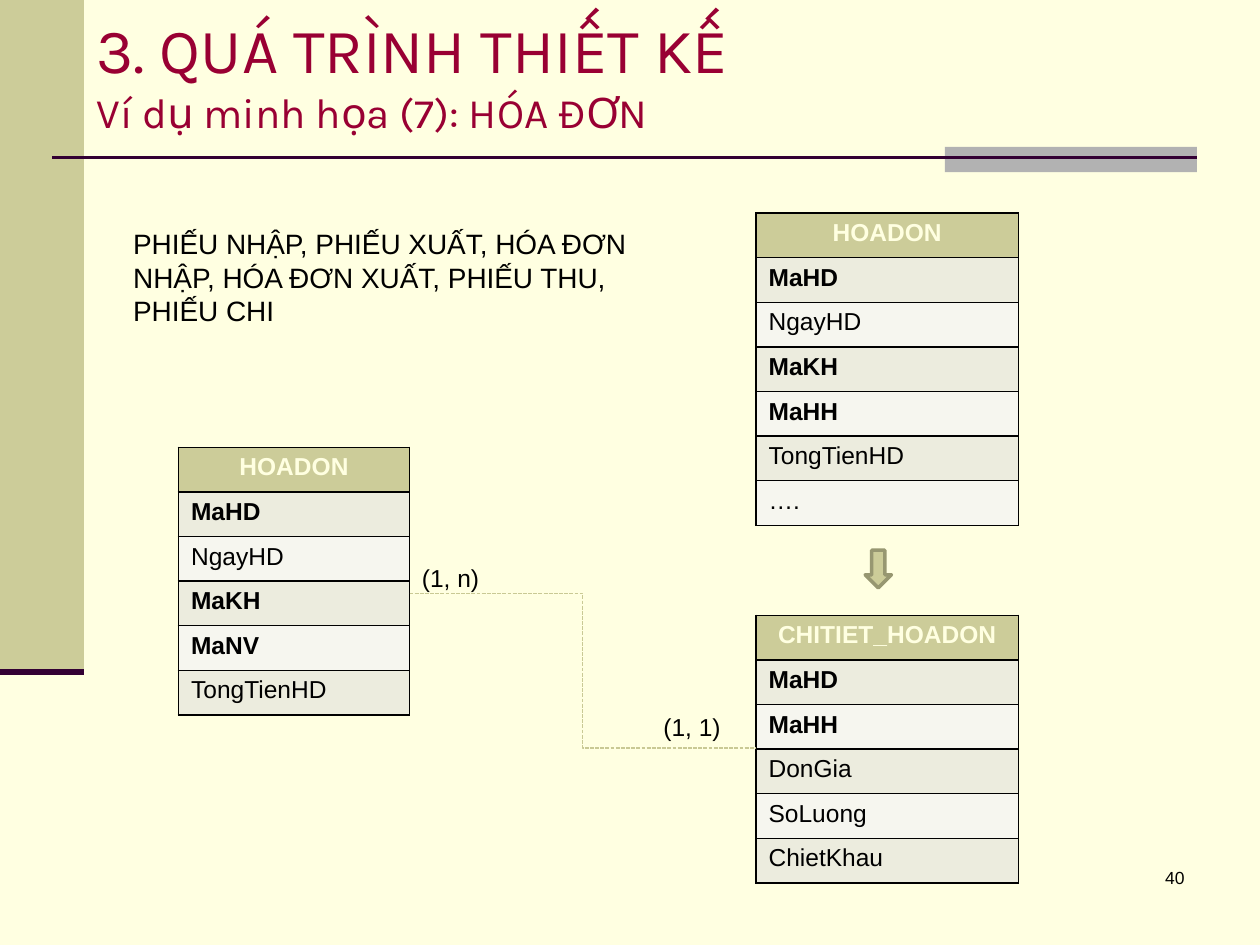
from lxml.etree import SubElement
from pptx import Presentation
from pptx.dml.color import RGBColor
from pptx.enum.dml import MSO_LINE
from pptx.enum.shapes import MSO_CONNECTOR as CONN, MSO_SHAPE as SHAPE
from pptx.enum.text import MSO_ANCHOR, MSO_AUTO_SIZE, PP_ALIGN
from pptx.oxml.ns import qn
from pptx.util import Inches, Pt

COLS, ROWS = 120, 90  # slide grid, twelve units to the inch
ROW_H = 4.25  # table row
OLIVE, CREAM, PLUM, BLACK = "CCCC99", "FFFFE1", "330033", "000000"
BANDS = "ECECDE", "F6F6EF"


def units(*values):
    return [Inches(v / 12) for v in values]


def rgb(value):
    return RGBColor.from_string(value)


def style(p, size, color=BLACK, bold=False, name="Arial", align=PP_ALIGN.LEFT):
    p.alignment = align
    for r in p.runs:
        r.font.size, r.font.name, r.font.bold = Pt(size), name, bold
        r.font.color.rgb = rgb(color)


def add_block(s, box, fill, line=None, width=0, kind=SHAPE.RECTANGLE):
    sp = s.shapes.add_shape(kind, *units(*box))
    sp.shadow.inherit = False
    sp.fill.solid()
    sp.fill.fore_color.rgb = rgb(fill)
    if line:
        sp.line.color.rgb = rgb(line)
        sp.line.width = Pt(width)
    else:
        sp.line.fill.background()


def add_line(s, ends, color, width, kind=CONN.STRAIGHT):
    line = s.shapes.add_connector(kind, *units(*ends))
    line.line.color.rgb = rgb(color)
    line.line.width = Pt(width)
    SubElement(line._element.spPr, qn("a:effectLst"))
    return line


def add_text(s, box, text, size, align=PP_ALIGN.LEFT):
    tf = s.shapes.add_textbox(*units(*box)).text_frame
    tf.word_wrap = True
    tf.text = text
    style(tf.paragraphs[0], size, align=align)


def add_borders(cell):
    tc_pr = cell._tc.get_or_add_tcPr()
    for side in "LRTB":
        ln = SubElement(tc_pr, qn(f"a:ln{side}"), w=str(Pt(1)))
        SubElement(SubElement(ln, qn("a:solidFill")), qn("a:srgbClr"), val=BLACK)


def add_entity(s, left, top, width, name, fields, keys):
    """Table with a heading row and one row per field, keys in bold."""
    n = len(fields) + 1
    tbl = s.shapes.add_table(n, 1, *units(left, top, width, n * ROW_H)).table
    for i, text in enumerate([name, *fields]):
        cell = tbl.cell(i, 0)
        cell.text = text
        add_borders(cell)
        cell.fill.solid()
        cell.fill.fore_color.rgb = rgb(BANDS[(i - 1) % 2] if i else OLIVE)
        p = cell.text_frame.paragraphs[0]
        if i:
            style(p, 14, bold=text in keys)
        else:
            style(p, 14, CREAM, True, align=PP_ALIGN.CENTER)


def add_frame(s):
    """Side band and heading rule."""
    add_block(s, (0, 0, 8, 64), OLIVE)
    add_block(s, (90, 14, 24, 2.4), "B2B2B2")
    add_line(s, (5, 15, 114, 15), PLUM, 1.5)
    add_line(s, (0, 64, 8, 64), PLUM, 3.5)


def add_title(s, box, heading, subheading):
    sp = s.shapes.title
    sp.left, sp.top, sp.width, sp.height = units(*box)
    tf = sp.text_frame
    tf.auto_size = MSO_AUTO_SIZE.NONE
    tf.vertical_anchor = MSO_ANCHOR.MIDDLE
    tf.text = f"{heading}\v{subheading}"
    p = tf.paragraphs[0]
    style(p, 36, "990033", name="Karla")
    p.runs[1].font.size = Pt(24)


def add_relation(s, start, end):
    line = add_line(s, (*start, *end), "C9C994", 0.75, CONN.ELBOW)
    line.line.dash_style = MSO_LINE.SQUARE_DOT
    add_text(s, (start[0], start[1] - 3.5, 9, 4), "(1, n)", 14)
    add_text(s, (end[0] - 10, end[1] - 4, 9, 4), "(1, 1)", 14)


def main():
    prs = Presentation()
    prs.slide_width, prs.slide_height = units(COLS, ROWS)
    s = prs.slides.add_slide(prs.slide_layouts[5])
    s.background.fill.solid()
    s.background.fill.fore_color.rgb = rgb(CREAM)

    add_frame(s)
    add_title(s, (8, 0, 112, 14), "3. QUÁ TRÌNH THIẾT KẾ",
              "Ví dụ minh họa (7): HÓA ĐƠN")
    keys = {"MaHD", "MaKH", "MaHH", "MaNV"}
    add_entity(s, 72, 20.3, 25, "HOADON",
               ["MaHD", "NgayHD", "MaKH", "MaHH", "TongTienHD", "…."], keys)
    add_entity(s, 72, 58.6, 25, "CHITIET_HOADON",
               ["MaHD", "MaHH", "DonGia", "SoLuong", "ChietKhau"], keys)
    add_entity(s, 17, 42.6, 22, "HOADON",
               ["MaHD", "NgayHD", "MaKH", "MaNV", "TongTienHD"], keys)
    add_text(s, (11.5, 21, 50, 7.7),
             "PHIẾU NHẬP, PHIẾU XUẤT, HÓA ĐƠN NHẬP, HÓA ĐƠN XUẤT, "
             "PHIẾU THU, PHIẾU CHI", 16)
    add_block(s, (82.4, 52.4, 2.5, 3.6), OLIVE, "979771", 2, SHAPE.DOWN_ARROW)
    add_relation(s, (39, 56.5), (72, 71.25))
    add_text(s, (89, 82, 25, 6), "40", 10, PP_ALIGN.RIGHT)
    prs.save("out.pptx")


if __name__ == "__main__":
    main()
